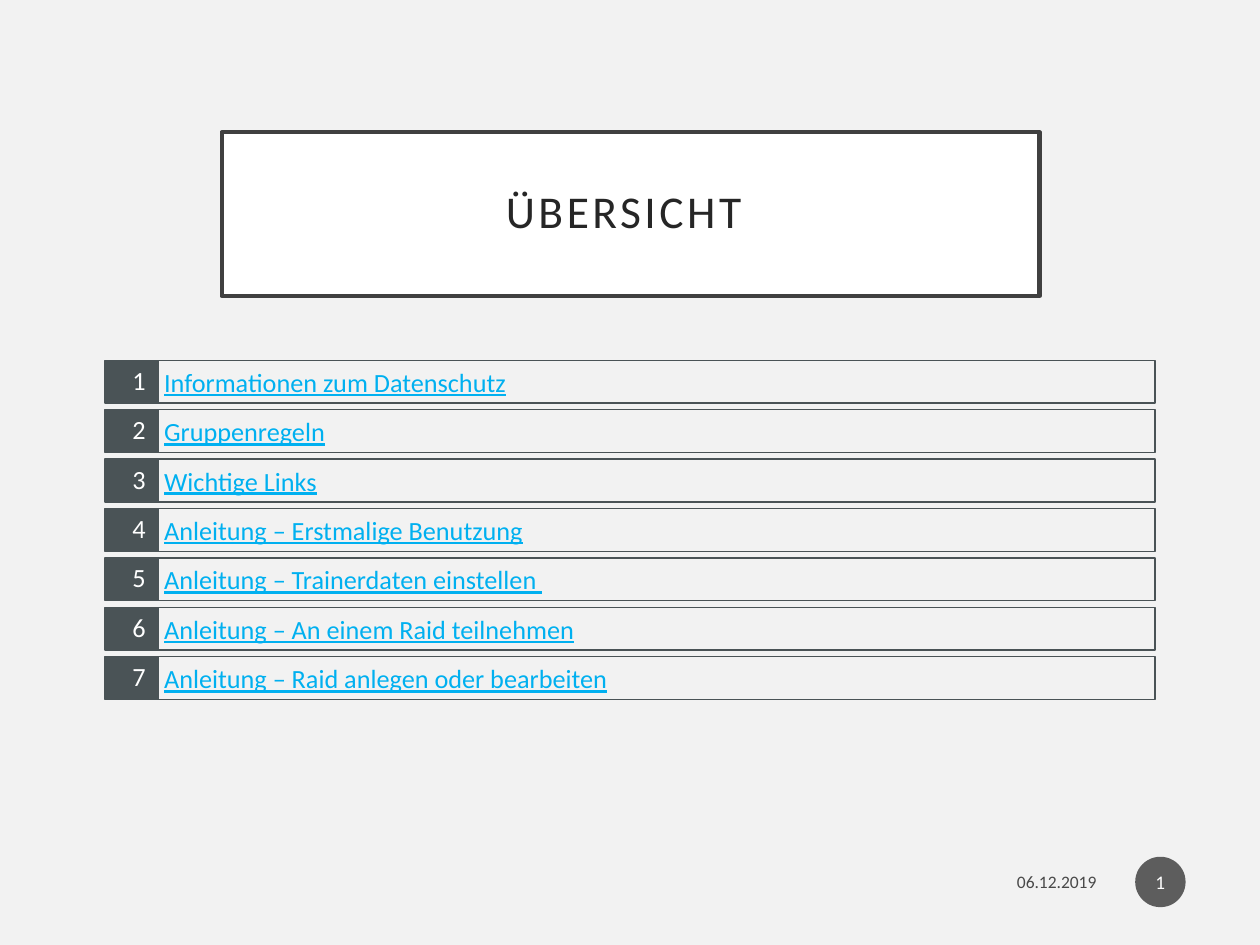
import pptx
import pptx.dml.color
import pptx.enum.shapes
import pptx.enum.text
import pptx.util

HEAD = "ÜBERSICHT "
ITEMS = [
    "Informationen zum Datenschutz",
    "Gruppenregeln",
    "Wichtige Links",
    "Anleitung – Erstmalige Benutzung",
    "Anleitung – Trainerdaten einstellen ",
    "Anleitung – An einem Raid teilnehmen",
    "Anleitung – Raid anlegen oder bearbeiten",
]
DATE, PAGE = "06.12.2019", "1"
FONT = "Calibri"
HUES = {
    "back": "F2F2F2", "white": "FFFFFF", "frame": "404040", "head": "262626",
    "slate": "4A5356", "link": "00B0F0", "date": "494949", "disc": "5D5D5D",
}
WIDE, HIGH = 10, 7.5
LEFT, TOP = WIDE / 12, 2.86
PITCH, TALL = 0.392, 0.34
TAG = 0.42
BAR = WIDE - 2 * LEFT - TAG

Inch, Pt = pptx.util.Inches, pptx.util.Pt
Kind = pptx.enum.shapes.MSO_SHAPE
Align = pptx.enum.text.PP_ALIGN
Anchor = pptx.enum.text.MSO_ANCHOR


def hue(name):
    return pptx.dml.color.RGBColor.from_string(HUES[name])


def write(shape, text, size, tint, align, pads, lead=1):
    frame = shape.text_frame
    frame.word_wrap = True
    frame.vertical_anchor = Anchor.MIDDLE
    sides = ("left", "top", "right", "bottom")
    for side, pad in zip(sides, pads):
        setattr(frame, "margin_" + side, Inch(pad))
    para = frame.paragraphs[0]
    para.alignment, para.line_spacing = align, lead
    run = para.add_run()
    run.text = text
    run.font.name, run.font.size = FONT, Pt(size)
    run.font.color.rgb = hue(tint)
    return run


def draw(kind, spot, fill=None, line=None, width=0.75):
    shape = slide.shapes.add_shape(kind, *map(Inch, spot))
    shape.shadow.inherit = False
    if fill:
        shape.fill.solid()
        shape.fill.fore_color.rgb = hue(fill)
    else:
        shape.fill.background()
    if line:
        shape.line.color.rgb = hue(line)
        shape.line.width = Pt(width)
    else:
        shape.line.fill.background()
    return shape


deck = pptx.Presentation()
deck.slide_width, deck.slide_height = Inch(WIDE), Inch(HIGH)
slide = deck.slides.add_slide(deck.slide_layouts[6])
slide.background.fill.solid()
slide.background.fill.fore_color.rgb = hue("back")

box = draw(Kind.RECTANGLE, (1.76, 1.05, 6.49, 1.3), "white", "frame", 2.5)
run = write(box, HEAD, 26, "head", Align.CENTER, (0.2,) * 4, 0.9)
run._r.get_or_add_rPr().set("spc", "200")

for row, item in enumerate(ITEMS):
    y = TOP + row * PITCH
    bar = draw(Kind.RECTANGLE, (LEFT + TAG, y, BAR, TALL), line="slate")
    run = write(bar, item, 15, "link", Align.LEFT, (0.05,) * 4)
    run.font.underline = True
    tag = draw(Kind.RECTANGLE, (LEFT, y, TAG, TALL), "slate", "slate")
    write(tag, str(row + 1), 15, "white", Align.RIGHT,
          (0.1, 0.08, 0.1, 0.05), 0.7)

date = slide.shapes.add_textbox(*map(Inch, (6.54, 6.82, 2.26, 0.35)))
write(date, DATE, 10, "date", Align.RIGHT, (0.1, 0.05, 0.1, 0.05))
disc = draw(Kind.OVAL, (9.01, 6.8, 0.4, 0.4), "disc")
write(disc, PAGE, 11, "white", Align.CENTER, (0.02, 0.05, 0.02, 0.05))

deck.save("out.pptx")
